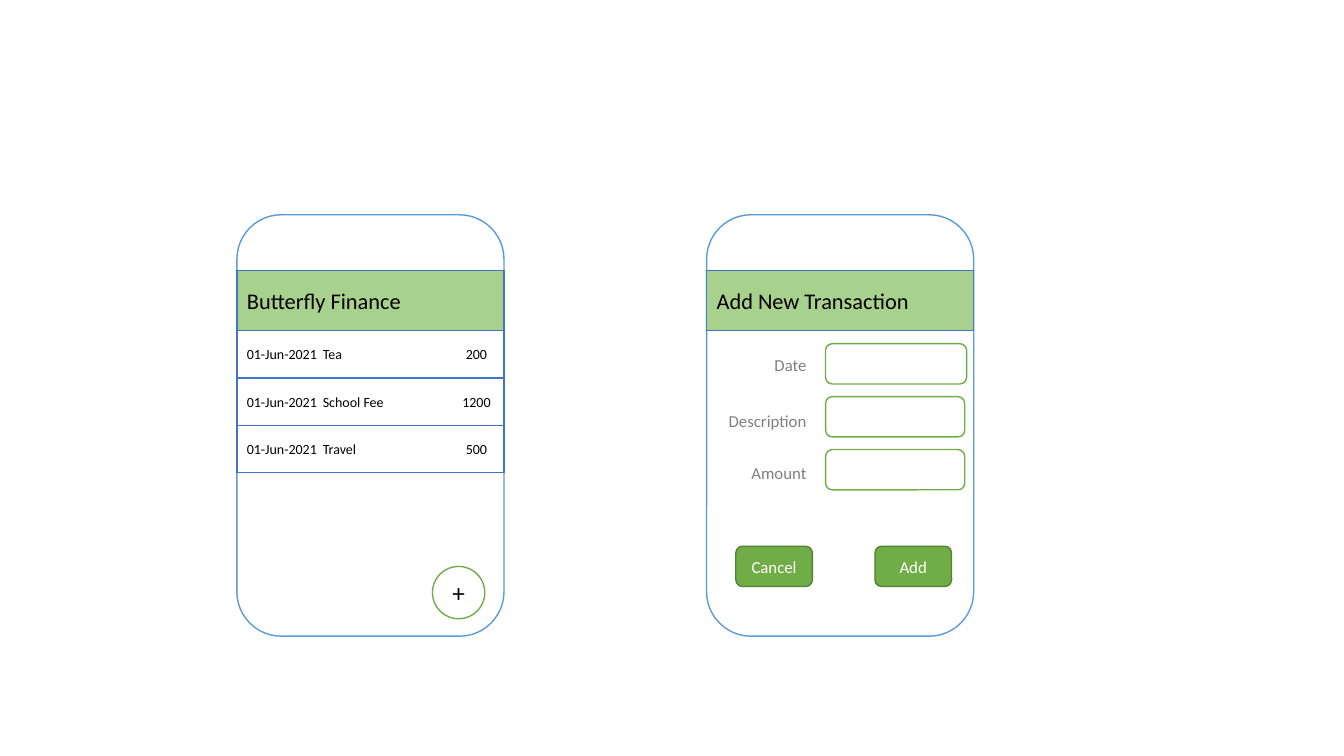
import dataclasses
import typing

import lxml.etree
import pptx
import pptx.dml.color
import pptx.enum.shapes
import pptx.enum.text
import pptx.oxml.ns
import pptx.util

Pt = pptx.util.Pt
Kind = pptx.enum.shapes.MSO_SHAPE
Align = pptx.enum.text.PP_ALIGN
Text = str | None


@dataclasses.dataclass(frozen=True)
class Theme:
    font: str = "Calibri"
    white: str = "FFFFFF"
    black: str = "000000"
    grey: str = "808080"
    sky: str = "5B9BD5"
    blue: str = "4472C4"
    pale: str = "A9D18E"
    green: str = "70AD47"
    dark: str = "538035"
    head: float = 16
    row: float = 10
    plus: float = 18
    form: float = 12


@dataclasses.dataclass(frozen=True)
class Area:
    left: float
    top: float
    width: float
    height: float


@dataclasses.dataclass(frozen=True)
class Entry:
    date: str
    item: str
    amount: str


@dataclasses.dataclass(frozen=True)
class Field:
    label: str
    top: float
    width: float


@dataclasses.dataclass(frozen=True)
class Button:
    text: str
    left: float


THEME = Theme()
PHONES = (169.2, 504.7)
WIDTH = 190.8
HEAD_TOP, HEAD_HIGH = 193, 43.2
ROW_HIGH = 33.84
FIELD_TOP, FIELD_STEP, FIELD_HIGH = 245.5, 37.8, 28.8
TABS = (("l", 54.3), ("ctr", 164))

ENTRIES = (
    Entry("01-Jun-2021", "Tea", "200"),
    Entry("01-Jun-2021", "School Fee", "1200"),
    Entry("01-Jun-2021", "Travel", "500"),
)
FIELDS = (
    Field("Date", 247, 100.8),
    Field("Description", 287.3, 99.4),
    Field("Amount", 324.7, 99.4),
)
BUTTONS = (Button("Cancel", 525.6), Button("Add", 625))


def color(code: str) -> pptx.dml.color.RGBColor:
    return pptx.dml.color.RGBColor.from_string(code)


def place(shape: typing.Any, area: Area) -> None:
    shape.left, shape.top = Pt(area.left), Pt(area.top)
    shape.width, shape.height = Pt(area.width), Pt(area.height)


def paint(shape: typing.Any, fill: str, line: str) -> None:
    shape.shadow.inherit = False
    shape.fill.solid()
    shape.fill.fore_color.rgb = color(fill)
    shape.line.color.rgb = color(line)
    shape.line.width = Pt(1)


def write(shape: typing.Any, text: str, size: float, ink: str,
          align: Align = Align.LEFT) -> None:
    frame = shape.text_frame
    frame.text = text
    frame.word_wrap = True
    frame.auto_size = pptx.enum.text.MSO_AUTO_SIZE.NONE
    frame.vertical_anchor = pptx.enum.text.MSO_ANCHOR.MIDDLE
    para = frame.paragraphs[0]
    para.alignment = align
    para.space_before = Pt(0)
    font = para.runs[0].font
    font.name, font.size = THEME.font, Pt(size)
    font.color.rgb = color(ink)


def draw(slide: typing.Any, kind: Kind, area: Area, fill: str,
         line: str) -> typing.Any:
    shape = slide.shapes.add_shape(kind, 0, 0, 0, 0)
    place(shape, area)
    paint(shape, fill, line)
    return shape


def add_tabs(shape: typing.Any) -> None:
    name = pptx.oxml.ns.qn
    props = shape.text_frame.paragraphs[0]._p.get_or_add_pPr()
    stops = lxml.etree.SubElement(props, name("a:tabLst"))
    for side, pos in TABS:
        stop = lxml.etree.SubElement(stops, name("a:tab"))
        stop.set("pos", str(Pt(pos)))
        stop.set("algn", side)


def add_head(holder: typing.Any, left: float, text: str) -> None:
    # Bring the placeholder in front of the phone frames
    holder.element.getparent().append(holder.element)
    place(holder, Area(left, HEAD_TOP, WIDTH, HEAD_HIGH))
    paint(holder, THEME.pale, THEME.blue)
    write(holder, text, THEME.head, THEME.black)


def add_list(slide: typing.Any) -> None:
    for i, entry in enumerate(ENTRIES):
        top = HEAD_TOP + HEAD_HIGH + i * ROW_HIGH
        row = draw(slide, Kind.RECTANGLE,
                   Area(PHONES[0], top, WIDTH, ROW_HIGH),
                   THEME.white, THEME.blue)
        text = "\t".join((entry.date, entry.item, entry.amount))
        write(row, text, THEME.row, THEME.black)
        add_tabs(row)
    plus = draw(slide, Kind.OVAL, Area(308.9, 404.6, 37.4, 37.4),
                THEME.white, THEME.green)
    write(plus, "+", THEME.plus, THEME.black, Align.CENTER)


def add_form(slide: typing.Any) -> None:
    for i, field in enumerate(FIELDS):
        top = FIELD_TOP + i * FIELD_STEP
        draw(slide, Kind.ROUNDED_RECTANGLE,
             Area(589.7, top, field.width, FIELD_HIGH),
             THEME.white, THEME.green)
        label = slide.shapes.add_textbox(0, 0, 0, 0)
        place(label, Area(511.2, field.top, 72, 26.6))
        write(label, field.label, THEME.form, THEME.grey, Align.RIGHT)
    for button in BUTTONS:
        shape = draw(slide, Kind.ROUNDED_RECTANGLE,
                     Area(button.left, 390.2, 54.7, FIELD_HIGH),
                     THEME.green, THEME.dark)
        write(shape, button.text, THEME.form, THEME.white, Align.CENTER)


def main() -> None:
    deck = pptx.Presentation()
    deck.slide_width, deck.slide_height = Pt(960), Pt(540)
    slide = deck.slides.add_slide(deck.slide_layouts[0])

    # Phone frames
    for left in PHONES:
        draw(slide, Kind.ROUNDED_RECTANGLE, Area(left, 153.4, WIDTH, 301),
             THEME.white, THEME.sky)

    # Screen headers
    add_head(slide.shapes.title, PHONES[0], "Butterfly Finance")
    add_head(slide.placeholders[1], PHONES[1], "Add New Transaction")

    # Screen contents
    add_list(slide)
    add_form(slide)
    deck.save("out.pptx")


if __name__ == "__main__":
    main()
